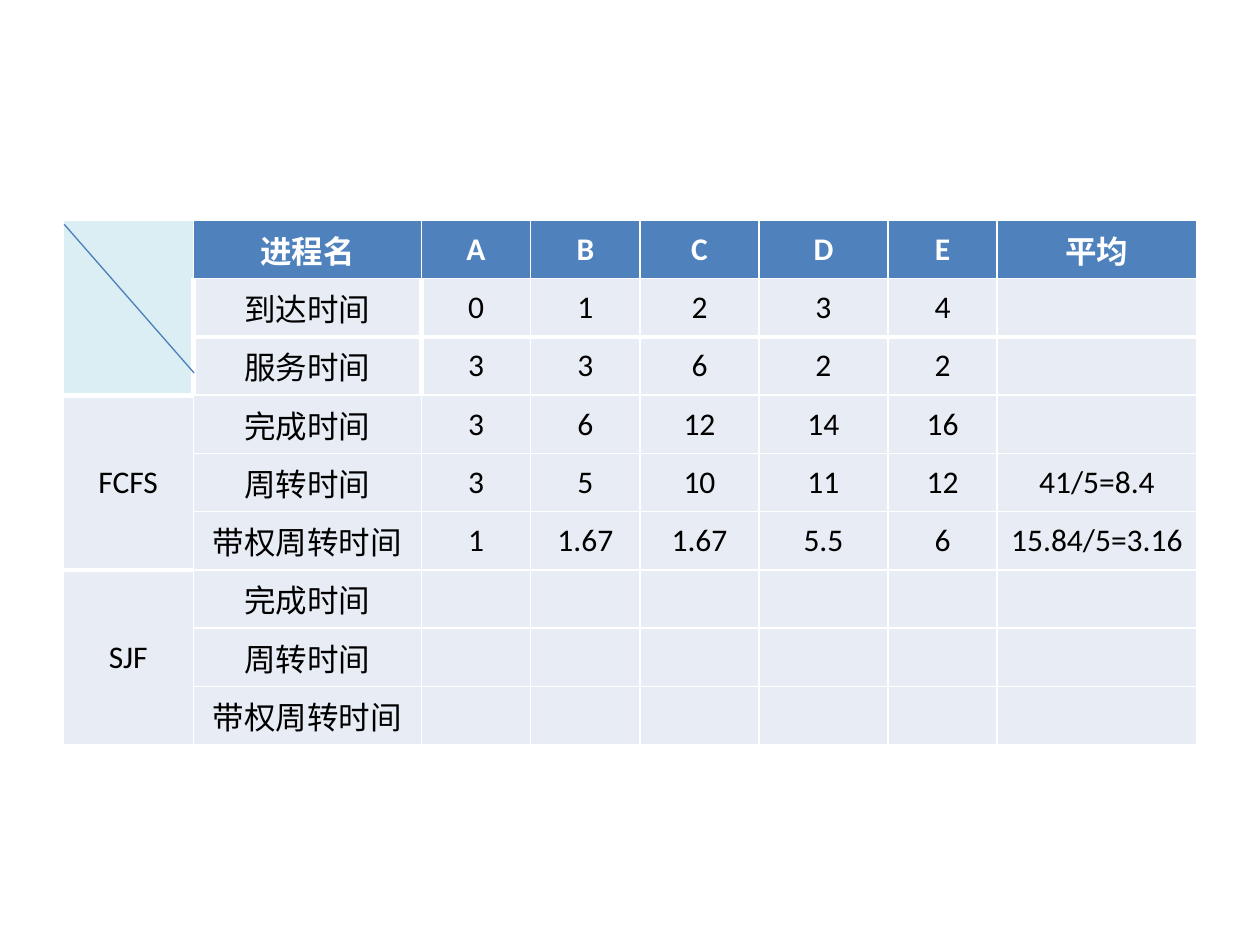
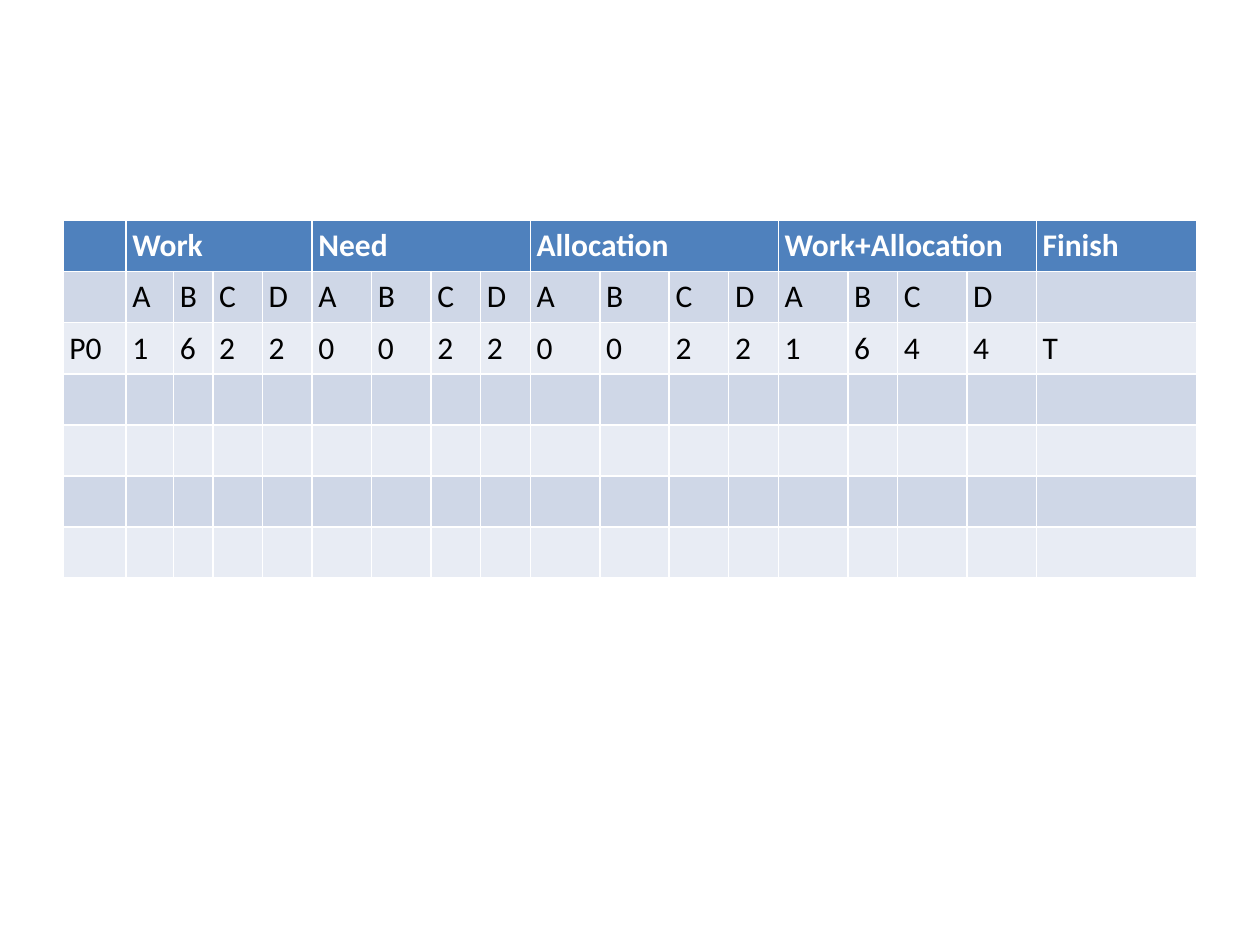
from lxml import etree
from pptx import Presentation
from pptx.dml.color import RGBColor
from pptx.enum.shapes import MSO_CONNECTOR
from pptx.enum.text import MSO_ANCHOR, PP_ALIGN
from pptx.oxml.ns import qn
from pptx.util import Pt

WHITE = RGBColor(0xFF, 0xFF, 0xFF)
BLACK = RGBColor(0x00, 0x00, 0x00)
HEADER_BLUE = RGBColor(0x4F, 0x81, 0xBD)
LINE_BLUE = RGBColor(0x4A, 0x7E, 0xBB)
PALE_CYAN = RGBColor(0xDB, 0xEE, 0xF4)
BAND_DARK = RGBColor(0xCF, 0xD7, 0xE7)
BAND_LIGHT = RGBColor(0xE8, 0xEC, 0xF4)

LATIN_FONT, CHINESE_FONT = "Calibri", "Roboto"
TEXT_SIZE = 18
TABLE_LEFT, TABLE_TOP = 36, 126
ROW_HEIGHT = 29.2
CELL_MARGIN = 3.6
THICK = 3


class Deck:
    """Holds the shared table style and the current slide."""

    def __init__(self):
        self.presentation = Presentation()
        self.presentation.slide_width, self.presentation.slide_height = Pt(720), Pt(540)
        self.slide = None

    def add_slide(self):
        self.slide = self.presentation.slides.add_slide(self.presentation.slide_layouts[6])

    def add_table(self, rows, widths, bands, align, anchor):
        """Draw rows under a header; the body fills cycle through bands."""
        frame = self.slide.shapes.add_table(
            len(rows), len(widths), Pt(TABLE_LEFT), Pt(TABLE_TOP),
            Pt(sum(widths)), Pt(ROW_HEIGHT * len(rows)))
        table = frame.table
        for column, width in zip(table.columns, widths):
            column.width = Pt(width)
        for row_index, texts in enumerate(rows):
            table.rows[row_index].height = Pt(ROW_HEIGHT)
            is_header = row_index == 0
            fill = HEADER_BLUE if is_header else bands[(row_index - 1) % len(bands)]
            for column_index, text in enumerate(texts):
                cell = table.cell(row_index, column_index)
                self.style_cell(cell, text, fill, is_header, align, anchor)
        return table

    def style_cell(self, cell, text, fill, is_header, align, anchor):
        cell.fill.solid()
        cell.fill.fore_color.rgb = fill
        cell.margin_left = cell.margin_right = Pt(CELL_MARGIN)
        cell.margin_top = cell.margin_bottom = Pt(CELL_MARGIN)
        cell.vertical_anchor = anchor
        cell.text = text
        paragraph = cell.text_frame.paragraphs[0]
        paragraph.alignment = align
        font = paragraph.font
        font.name = LATIN_FONT if text.isascii() else CHINESE_FONT
        font.size = Pt(TEXT_SIZE)
        font.bold = is_header
        font.color.rgb = WHITE if is_header else BLACK

    def thicken(self, cell, sides):
        """Give the cell thick white borders; sides is a part of 'LRTB', in that order."""
        properties = cell._tc.get_or_add_tcPr()
        for position, side in enumerate(sides):
            border = etree.Element(qn(f"a:ln{side}"), w=str(Pt(THICK)))
            fill = etree.SubElement(border, qn("a:solidFill"))
            etree.SubElement(fill, qn("a:srgbClr"), val=str(WHITE))
            properties.insert(position, border)

    def add_line(self, start, end):
        line = self.slide.shapes.add_connector(
            MSO_CONNECTOR.STRAIGHT, *(Pt(value) for value in (*start, *end)))
        line.line.color.rgb = LINE_BLUE
        line.line.width = Pt(0.75)
        etree.SubElement(line._element.spPr, qn("a:effectLst"))


def add_scheduling_slide(deck):
    deck.add_slide()
    measures = ["完成时间", "周转时间", "带权周转时间"]
    rows = [
        ["", "进程名", "A", "B", "C", "D", "E", "平均"],
        ["", "到达时间", "0", "1", "2", "3", "4", ""],
        ["", "服务时间", "3", "3", "6", "2", "2", ""],
        ["FCFS", measures[0], "3", "6", "12", "14", "16", ""],
        ["", measures[1], "3", "5", "10", "11", "12", "41/5=8.4"],
        ["", measures[2], "1", "1.67", "1.67", "5.5", "6", "15.84/5=3.16"],
        ["SJF", measures[0]] + [""] * 6,
        ["", measures[1]] + [""] * 6,
        ["", measures[2]] + [""] * 6,
    ]
    widths = [74.5, 130.3, 62.5, 62.5, 68, 73.7, 62.5, 114]
    table = deck.add_table(rows, widths, [BAND_LIGHT], PP_ALIGN.CENTER, MSO_ANCHOR.MIDDLE)

    # Row groups in the first column
    for top in (0, 3, 6):
        table.cell(top, 0).merge(table.cell(top + 2, 0))
    table.cell(0, 0).fill.fore_color.rgb = PALE_CYAN

    # Thick borders around the given times and between the groups
    for row_index in (1, 2):
        deck.thicken(table.cell(row_index, 1), "LRB" if row_index == 1 else "LR")
    for column_index in range(2, len(widths)):
        deck.thicken(table.cell(1, column_index), "B")
    for top in (3, 6):
        deck.thicken(table.cell(top, 0), "T")

    # Diagonal of the corner cell
    deck.add_line((36.7, 128.2), (110.9, 213.1))


def add_safety_check_slide(deck):
    deck.add_slide()
    groups = ["Work", "Need", "Allocation", "Work+Allocation"]
    header = [""]
    for group in groups:
        header += [group, "", "", ""]
    rows = [
        header + ["Finish"],
        ["", *"ABCD" * len(groups), ""],
        ["P0", *"1622" "0022" "0022" "1644", "T"],
    ] + [[""] * 18 for _ in range(4)]
    widths = [36, 27.2, 22.4, 28.4, 28.4, 34, 34, 28.4, 28.4,
              39.7, 39.7, 34, 28.4, 39.7, 28.4, 39.7, 39.7, 91.5]
    table = deck.add_table(rows, widths, [BAND_DARK, BAND_LIGHT], PP_ALIGN.LEFT, MSO_ANCHOR.TOP)

    # Each resource group spans four columns
    for group_index in range(len(groups)):
        first = 1 + 4 * group_index
        table.cell(0, first).merge(table.cell(0, first + 3))


def main():
    deck = Deck()
    add_scheduling_slide(deck)
    add_safety_check_slide(deck)
    deck.presentation.save("out.pptx")


if __name__ == "__main__":
    main()
